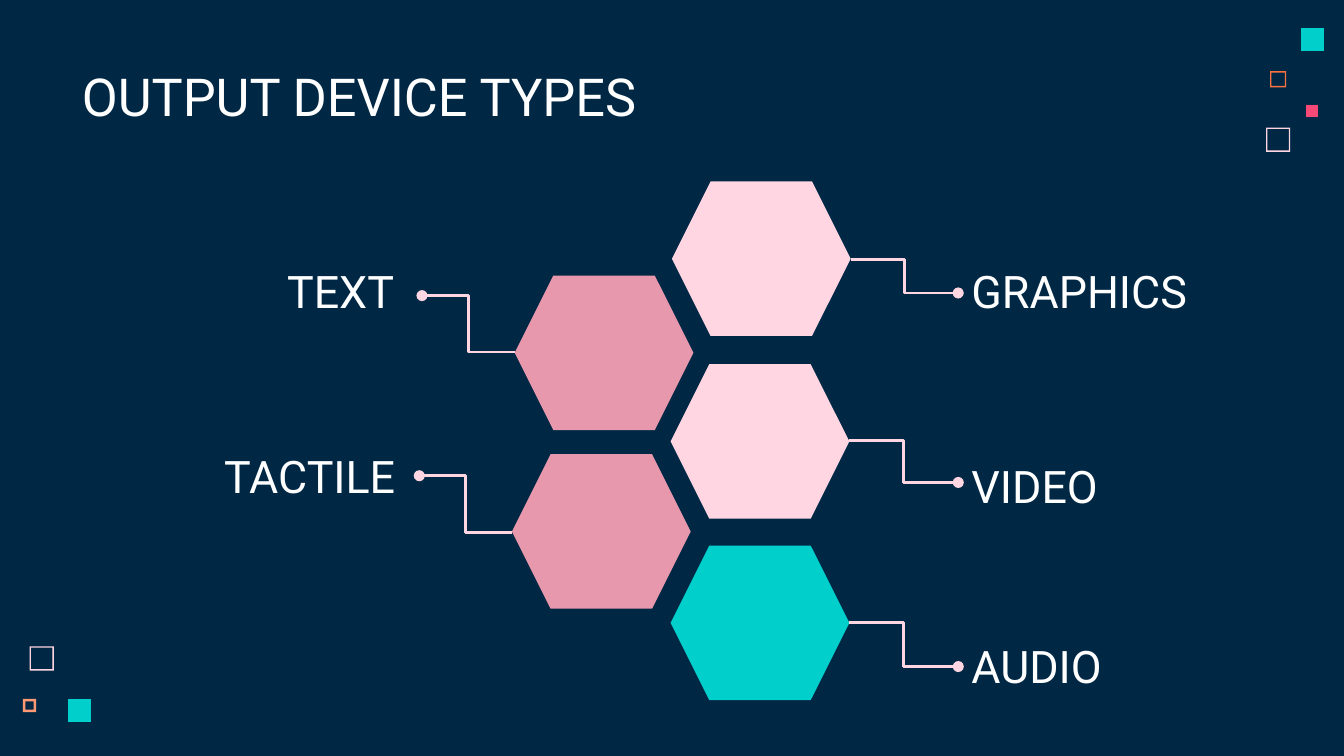
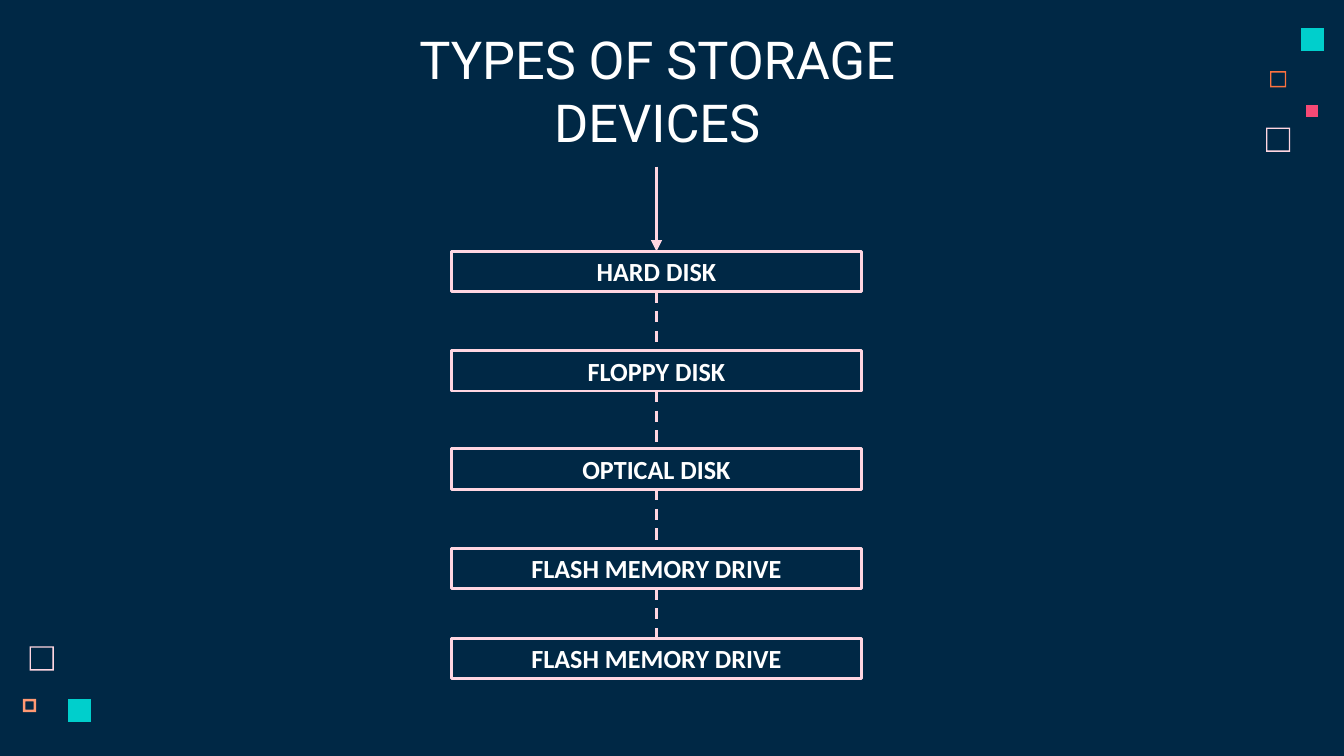
from dataclasses import dataclass

import pptx
import pptx.util
from lxml import etree
from pptx.dml.color import RGBColor
from pptx.enum.dml import MSO_LINE
from pptx.enum.shapes import MSO_CONNECTOR, MSO_SHAPE
from pptx.enum.text import MSO_ANCHOR, MSO_AUTO_SIZE, PP_ALIGN
from pptx.oxml.ns import qn
from pptx.util import Inches


@dataclass(frozen=True)
class Theme:
    navy: str = "002845"
    white: str = "FFFFFF"
    blush: str = "FFD6E1"
    rose: str = "E898AC"
    teal: str = "00CFCC"
    orange: str = "FC723F"
    peach: str = "FF9973"
    pink: str = "F64975"
    heading_font: str = "Roboto"
    box_font: str = "Calibri"
    title_size: int = 28
    label_size: int = 24
    box_size: int = 14
    line_width: float = 1.5
    inset: float = 0.1


THEME = Theme()

SLIDE_WIDTH = Inches(10)
SLIDE_HEIGHT = SLIDE_WIDTH * 9 // 16

SQUARES = [
    (9.42, 0.95, 0.18, THEME.blush, 0.01),
    (9.45, 0.53, 0.12, THEME.orange, 0.01),
    (9.68, 0.21, 0.17, THEME.teal, 0),
    (0.17, 5.2, 0.1, THEME.peach, 0.02),
    (9.72, 0.78, 0.09, THEME.pink, 0),
    (0.22, 4.81, 0.18, THEME.blush, 0.01),
    (0.51, 5.2, 0.17, THEME.teal, 0),
]

HEXAGON_WIDTH, HEXAGON_HEIGHT = 1.33, 1.15
HEXAGONS = [
    (4.99, 2.71, THEME.blush),
    (3.81, 3.38, THEME.rose),
    (4.99, 4.06, THEME.teal),
    (5, 1.35, THEME.blush),
    (3.83, 2.05, THEME.rose),
]
DEVICE_LABELS = [
    ("VIDEO", 7.13, 3.28, 2.48, 0.63, PP_ALIGN.LEFT),
    ("AUDIO", 7.13, 4.67, 2.5, 0.58, PP_ALIGN.LEFT),
    ("TACTILE", 1.51, 3.15, 1.53, 0.69, PP_ALIGN.RIGHT),
    ("GRAPHICS", 7.13, 1.89, 1.88, 0.57, PP_ALIGN.LEFT),
    ("TEXT", 0.84, 1.77, 2.19, 0.69, PP_ALIGN.RIGHT),
]
DEVICE_LINKS = [
    ((3.81, 3.96), (3.12, 3.54)),
    ((6.32, 3.28), (7.13, 3.59)),
    ((6.32, 4.63), (7.13, 4.96)),
    ((3.83, 2.62), (3.14, 2.2)),
    ((6.33, 1.93), (7.13, 2.18)),
]

BOX_LEFT, BOX_WIDTH, BOX_HEIGHT = 3.36, 3.05, 0.3
STORAGE_BOXES = [
    ("HARD DISK", 1.87),
    ("FLOPPY DISK", 2.61),
    ("OPTICAL DISK", 3.34),
    ("FLASH MEMORY DRIVE", 4.08),
    ("FLASH MEMORY DRIVE", 4.75),
]


def paint(fill, color):
    fill.solid()
    fill.fore_color.rgb = RGBColor.from_string(color)


def style_line(line):
    paint(line.fill, THEME.blush)
    line.width = pptx.util.Pt(THEME.line_width)


def write_text(shape, text, size, font_name, alignment, anchor, bold=False):
    frame = shape.text_frame
    frame.word_wrap = True
    frame.auto_size = MSO_AUTO_SIZE.NONE
    frame.vertical_anchor = anchor
    frame.margin_left = frame.margin_right = Inches(THEME.inset)
    frame.margin_top = frame.margin_bottom = Inches(THEME.inset)
    frame.text = text
    paragraph = frame.paragraphs[0]
    paragraph.alignment = alignment
    paragraph.font.size = pptx.util.Pt(size)
    paragraph.font.name = font_name
    paragraph.font.bold = bold
    paragraph.font.color.rgb = RGBColor.from_string(THEME.white)


def square_corners(left, top, size):
    right, bottom = left + size, top + size
    corners = [(left, top), (left, bottom), (right, bottom), (right, top)]
    return [(Inches(x), Inches(y)) for x, y in corners]


def add_square(slide, left, top, size, color, thickness):
    outer = square_corners(left, top, size)
    builder = slide.shapes.build_freeform(*outer[0])
    builder.add_line_segments(outer[1:], close=True)
    if thickness:
        inner = square_corners(left + thickness, top + thickness, size - 2 * thickness)
        builder.move_to(*inner[0])
        builder.add_line_segments(inner[:0:-1], close=True)
    square = builder.convert_to_shape()
    square.shadow.inherit = False
    paint(square.fill, color)
    square.line.fill.background()


def add_slide(presentation, title, bounds, alignment, anchor):
    slide = presentation.slides.add_slide(presentation.slide_layouts[5])
    for square in SQUARES:
        add_square(slide, *square)
    heading = slide.shapes.title
    heading.left, heading.top, heading.width, heading.height = map(Inches, bounds)
    write_text(heading, title, THEME.title_size, THEME.heading_font, alignment, anchor)
    return slide


def add_hexagon(slide, left, top, color):
    hexagon = slide.shapes.add_shape(
        MSO_SHAPE.HEXAGON,
        Inches(left), Inches(top), Inches(HEXAGON_WIDTH), Inches(HEXAGON_HEIGHT),
    )
    hexagon.adjustments[0] = 0.25
    hexagon.shadow.inherit = False
    paint(hexagon.fill, color)
    hexagon.line.fill.background()


def add_label(slide, text, left, top, width, height, alignment):
    label = slide.shapes.add_textbox(
        Inches(left), Inches(top), Inches(width), Inches(height)
    )
    write_text(
        label, text, THEME.label_size, THEME.heading_font, alignment, MSO_ANCHOR.BOTTOM
    )


def add_link(slide, start, end, kind=MSO_CONNECTOR.STRAIGHT, tip=None, dash=None):
    link = slide.shapes.add_connector(kind, *map(Inches, (*start, *end)))
    style_line(link.line)
    if dash:
        link.line.dash_style = dash
    properties = link._element.spPr
    if tip:
        etree.SubElement(properties.find(qn("a:ln")), qn("a:tailEnd"), type=tip)
    etree.SubElement(properties, qn("a:effectLst"))


def add_storage_box(slide, text, top):
    box = slide.shapes.add_shape(
        MSO_SHAPE.RECTANGLE,
        Inches(BOX_LEFT), Inches(top), Inches(BOX_WIDTH), Inches(BOX_HEIGHT),
    )
    box.shadow.inherit = False
    box.fill.background()
    style_line(box.line)
    write_text(
        box, text, THEME.box_size, THEME.box_font,
        PP_ALIGN.CENTER, MSO_ANCHOR.MIDDLE, bold=True,
    )


def build_output_devices(presentation):
    slide = add_slide(
        presentation, "OUTPUT DEVICE TYPES", (0.51, 0.38, 8.43, 0.63),
        PP_ALIGN.LEFT, MSO_ANCHOR.TOP,
    )
    for hexagon in HEXAGONS:
        add_hexagon(slide, *hexagon)
    for label in DEVICE_LABELS:
        add_label(slide, *label)
    for start, end in DEVICE_LINKS:
        add_link(slide, start, end, MSO_CONNECTOR.ELBOW, tip="oval")


def build_storage_devices(presentation):
    slide = add_slide(
        presentation, "TYPES OF STORAGE DEVICES", (2.28, 0.74, 5.22, 0.5),
        PP_ALIGN.CENTER, MSO_ANCHOR.BOTTOM,
    )
    for text, top in STORAGE_BOXES:
        add_storage_box(slide, text, top)
    center = BOX_LEFT + BOX_WIDTH / 2
    tops = [top for _, top in STORAGE_BOXES]
    add_link(slide, (center, 1.24), (center, tops[0]), tip="triangle")
    for upper, lower in zip(tops, tops[1:]):
        add_link(
            slide, (center, upper + BOX_HEIGHT), (center, lower), dash=MSO_LINE.DASH
        )


def main():
    presentation = pptx.Presentation()
    presentation.slide_width = SLIDE_WIDTH
    presentation.slide_height = SLIDE_HEIGHT
    paint(presentation.slide_master.background.fill, THEME.navy)
    build_output_devices(presentation)
    build_storage_devices(presentation)
    presentation.save("out.pptx")


if __name__ == "__main__":
    main()
